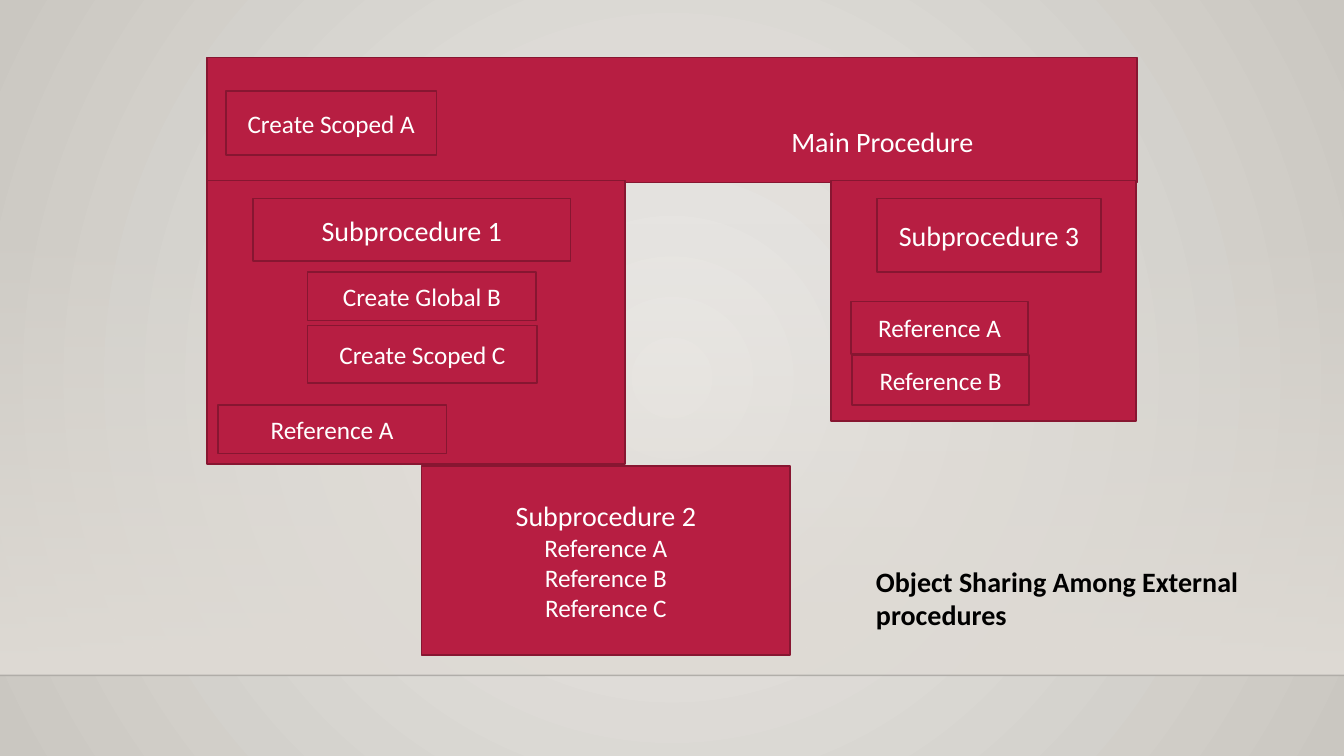
from lxml.etree import SubElement
from pptx import Presentation
from pptx.dml.color import RGBColor
from pptx.enum.shapes import MSO_CONNECTOR, MSO_SHAPE
from pptx.enum.text import MSO_ANCHOR, PP_ALIGN
from pptx.oxml.ns import qn
from pptx.util import Inches, Pt

CRIMSON = RGBColor(0xB7, 0x1E, 0x42)
MAROON = RGBColor(0x87, 0x16, 0x31)
WHITE = RGBColor(0xFF, 0xFF, 0xFF)
BLACK = RGBColor(0x00, 0x00, 0x00)
PALE = RGBColor(0xEC, 0xEA, 0xE7)
STONE = RGBColor(0xCA, 0xC7, 0xC1)
SAND = RGBColor(0xDF, 0xDB, 0xD5)

HEADING = {"size": Pt(20), "name": "Calibri"}
ITEM = {"size": Pt(18), "name": "Calibri"}
CAPTION = {"size": Pt(20), "name": "Calibri", "bold": True}


class Diagram:
    def __init__(self, prs):
        self.s = prs.slides.add_slide(prs.slide_layouts[6])

    def set_alpha(self, color, percent):
        SubElement(color, qn("a:alpha"), val=str(percent * 1000))

    def gradient(self, fill, start, end):
        fill.gradient()
        for stop, color in zip(fill.gradient_stops, (start, end)):
            stop.color.rgb = color

    def background(self):
        self.gradient(self.s.background.fill, PALE, STONE)
        grad = self.s.element.find(".//" + qn("a:gradFill"))
        grad.remove(grad.find(qn("a:lin")))
        radial = SubElement(grad, qn("a:path"), path="circle")
        sides = dict.fromkeys("ltrb", "50000")
        SubElement(radial, qn("a:fillToRect"), **sides)

    def rect(self, x, y, w, h):
        sp = self.s.shapes.add_shape(
            MSO_SHAPE.RECTANGLE, Inches(x), Inches(y), Inches(w), Inches(h))
        sp.shadow.inherit = False
        return sp

    def wall(self, x, y, w, h):
        sp = self.rect(x, y, w, h)
        self.gradient(sp.fill, SAND, SAND)
        sp.fill.gradient_angle = 270
        self.set_alpha(sp.element.find(".//" + qn("a:srgbClr")), 0)
        sp.line.fill.background()

    def floor_line(self, x1, x2, y):
        line = self.s.shapes.add_connector(
            MSO_CONNECTOR.STRAIGHT, Inches(x1), Inches(y), Inches(x2), Inches(y))
        line.line.width = Pt(1)
        line.line.color.rgb = BLACK
        self.set_alpha(line.element.find(".//" + qn("a:srgbClr")), 20)
        SubElement(line.element.spPr, qn("a:effectLst"))

    def add_lines(self, tf, lines, color, align):
        tf.word_wrap = True
        for i, (text, style) in enumerate(lines):
            p = tf.paragraphs[0] if i == 0 else tf.add_paragraph()
            p.alignment = align
            r = p.add_run()
            r.text = text
            r.font.color.rgb = color
            for key, value in style.items():
                setattr(r.font, key, value)

    def box(self, x, y, w, h, *lines):
        sp = self.rect(x, y, w, h)
        sp.fill.solid()
        sp.fill.fore_color.rgb = CRIMSON
        sp.line.color.rgb = MAROON
        sp.line.width = Pt(1.25)
        sp.text_frame.vertical_anchor = MSO_ANCHOR.MIDDLE
        self.add_lines(sp.text_frame, lines, WHITE, PP_ALIGN.CENTER)

    def label(self, x, y, w, h, text, style, color):
        tb = self.s.shapes.add_textbox(Inches(x), Inches(y), Inches(w), Inches(h))
        self.add_lines(tb.text_frame, [(text, style)], color, PP_ALIGN.LEFT)


def main():
    prs = Presentation()
    prs.slide_width = Inches(13.33)
    prs.slide_height = Inches(7.5)

    d = Diagram(prs)
    d.background()
    d.wall(0, 2.21, 13.33, 4.49)
    d.floor_line(0, 13.33, 6.7)

    d.box(2.05, 0.57, 9.23, 1.24)
    d.label(7.75, 1.19, 2.24, 0.44, "Main Procedure", HEADING, WHITE)
    d.box(2.24, 0.9, 2.09, 0.64, ("Create Scoped A", ITEM))

    d.box(2.05, 1.79, 4.15, 2.81)
    d.box(2.51, 1.97, 3.15, 0.62, ("Subprocedure 1", HEADING))
    d.box(3.05, 2.7, 2.27, 0.48, ("Create Global B", ITEM))
    d.box(3.05, 3.23, 2.28, 0.57, ("Create Scoped C", ITEM))
    d.box(2.16, 4.02, 2.27, 0.48, ("Reference A", ITEM))

    d.box(8.24, 1.79, 3.03, 2.39)
    d.box(8.7, 1.97, 2.22, 0.73, ("Subprocedure 3", HEADING))
    d.box(8.44, 2.99, 1.76, 0.52, ("Reference A", ITEM))
    d.box(8.45, 3.52, 1.76, 0.5, ("Reference B", ITEM))

    references = [(f"Reference {name}", ITEM) for name in "ABC"]
    d.box(4.18, 4.62, 3.66, 1.88, ("Subprocedure 2", HEADING), *references)

    d.label(8.59, 5.55, 4.67, 0.77,
            "Object Sharing Among External procedures", CAPTION, BLACK)

    prs.save("out.pptx")


if __name__ == "__main__":
    main()
